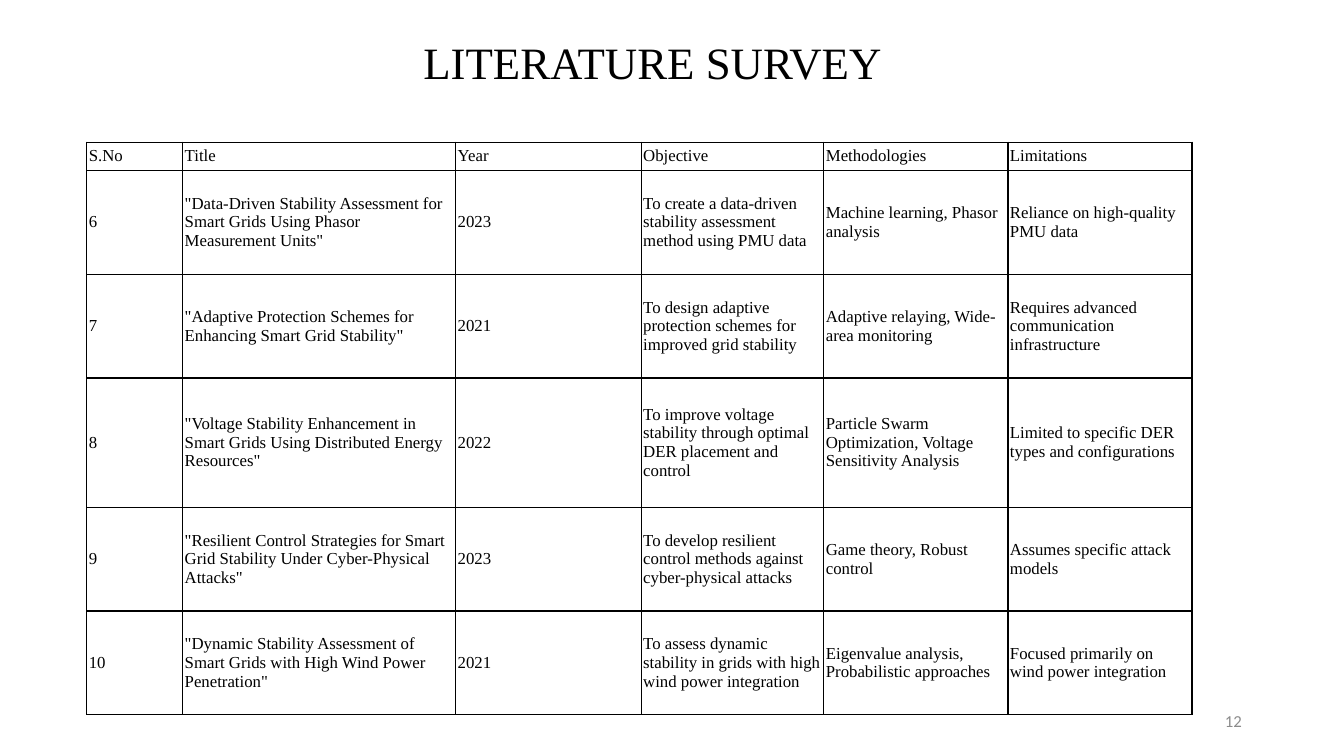
from lxml import etree
from pptx import Presentation
from pptx.dml.color import RGBColor
from pptx.enum import text
from pptx.oxml import ns
from pptx.util import Pt

BLACK = RGBColor(0x00, 0x00, 0x00)
GRAY = RGBColor(0x8C, 0x8C, 0x8C)
SERIF = "Times New Roman"

# Boxes: left, top, width, height in points
TITLE_BOX = (223.2, 12.25, 486, 67.7)
SURVEY_BOX = (62, 101.5, 789.5, 409.2)
NUMBER_BOX = (678.25, 500.4, 216, 28.8)

COLUMN_WIDTHS = (68.5, 195, 132.5, 130.5, 131.5, 131.5)
ROW_HEIGHTS = (20.2, 74.2, 74.2, 92.2, 74.2, 74.2)

SURVEY = (
    ("S.No", "Title", "Year", "Objective", "Methodologies", "Limitations"),
    ("6", '"Data-Driven Stability Assessment for Smart Grids Using Phasor Measurement Units"', "2023",
     "To create a data-driven stability assessment method using PMU data",
     "Machine learning, Phasor analysis", "Reliance on high-quality PMU data"),
    ("7", '"Adaptive Protection Schemes for Enhancing Smart Grid Stability"', "2021",
     "To design adaptive protection schemes for improved grid stability",
     "Adaptive relaying, Wide-area monitoring",
     "Requires advanced communication infrastructure"),
    ("8", '"Voltage Stability Enhancement in Smart Grids Using Distributed Energy Resources"', "2022",
     "To improve voltage stability through optimal DER placement and control",
     "Particle Swarm Optimization, Voltage Sensitivity Analysis",
     "Limited to specific DER types and configurations"),
    ("9", '"Resilient Control Strategies for Smart Grid Stability Under Cyber-Physical Attacks"', "2023",
     "To develop resilient control methods against cyber-physical attacks",
     "Game theory, Robust control", "Assumes specific attack models"),
    ("10", '"Dynamic Stability Assessment of Smart Grids with High Wind Power Penetration"', "2021",
     "To assess dynamic stability in grids with high wind power integration",
     "Eigenvalue analysis, Probabilistic approaches",
     "Focused primarily on wind power integration"),
)


def style(paragraph, size, name, color, align):
    paragraph.alignment = align
    paragraph.font.size = Pt(size)
    paragraph.font.name = name
    paragraph.font.color.rgb = color


def add_borders(cell):
    properties = cell._tc.get_or_add_tcPr()
    for side in ("a:lnL", "a:lnR", "a:lnT", "a:lnB"):
        border = etree.SubElement(properties, ns.qn(side), w=str(Pt(1)))
        fill = etree.SubElement(border, ns.qn("a:solidFill"))
        etree.SubElement(fill, ns.qn("a:srgbClr"), val=str(BLACK))


def fill_cell(cell, wording):
    cell.text = wording
    cell.vertical_anchor = text.MSO_ANCHOR.MIDDLE
    cell.margin_left = cell.margin_right = Pt(1.5)
    cell.margin_top = cell.margin_bottom = Pt(0.75)
    style(cell.text_frame.paragraphs[0], 12, SERIF, BLACK, text.PP_ALIGN.LEFT)
    add_borders(cell)
    cell.fill.background()


def place_title(slide, box):
    title = slide.shapes.title
    title.left, title.top, title.width, title.height = map(Pt, box)
    title.text_frame.text = "LITERATURE SURVEY"
    title.text_frame.vertical_anchor = text.MSO_ANCHOR.MIDDLE
    heading = title.text_frame.paragraphs[0]
    heading.line_spacing = 0.9
    style(heading, 32, SERIF, BLACK, text.PP_ALIGN.CENTER)


def place_survey(slide, box):
    survey = slide.shapes.add_table(len(SURVEY), len(COLUMN_WIDTHS), *map(Pt, box)).table
    survey.first_row = survey.horz_banding = False
    for column, width in zip(survey.columns, COLUMN_WIDTHS):
        column.width = Pt(width)
    for row, height, entry in zip(survey.rows, ROW_HEIGHTS, SURVEY):
        row.height = Pt(height)
        for cell, wording in zip(row.cells, entry):
            fill_cell(cell, wording)


def place_page_number(slide, box):
    frame = slide.shapes.add_textbox(*map(Pt, box)).text_frame
    frame.word_wrap = True
    frame.vertical_anchor = text.MSO_ANCHOR.MIDDLE
    frame.text = "12"
    style(frame.paragraphs[0], 12, "Calibri", GRAY, text.PP_ALIGN.RIGHT)


def main():
    deck = Presentation()
    deck.slide_width, deck.slide_height = Pt(960), Pt(540)
    slide = deck.slides.add_slide(deck.slide_layouts[5])  # Title Only
    place_title(slide, TITLE_BOX)
    place_survey(slide, SURVEY_BOX)
    place_page_number(slide, NUMBER_BOX)
    deck.save("out.pptx")


if __name__ == "__main__":
    main()
